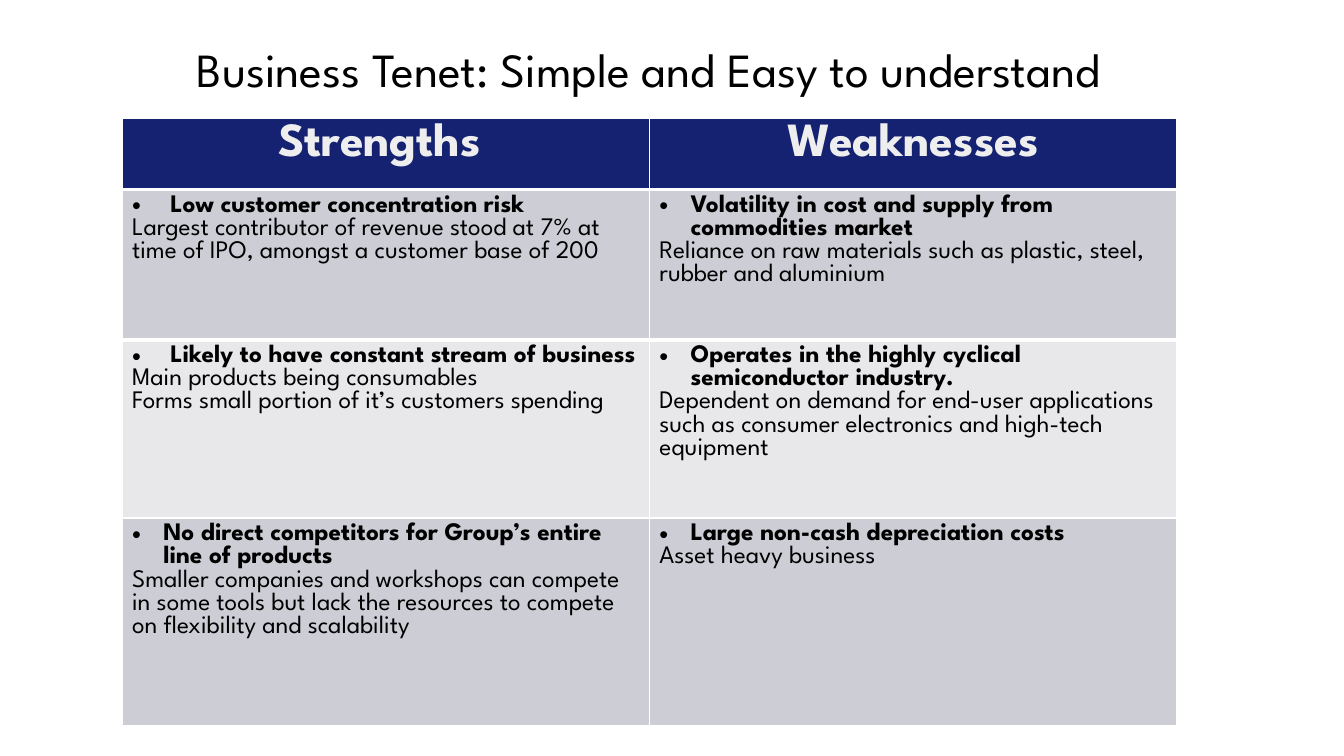
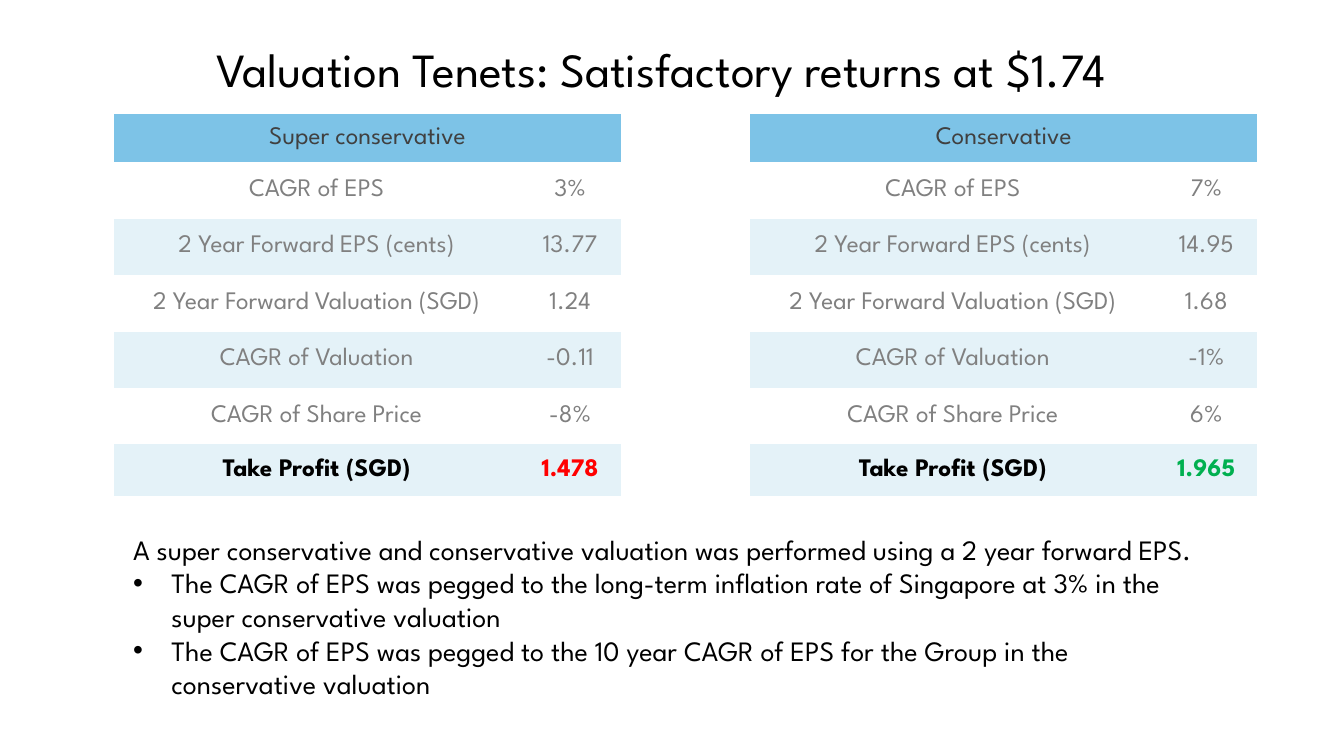
"""Build two slides on business strengths, weaknesses and valuation."""
import dataclasses

import lxml.etree
import pptx
import pptx.dml.color
import pptx.enum.text
import pptx.oxml.ns
import pptx.slide
import pptx.table
import pptx.text.text
import pptx.util

Inches = pptx.util.Inches
Pt = pptx.util.Pt
Color = pptx.dml.color.RGBColor
Align = pptx.enum.text.PP_ALIGN
Anchor = pptx.enum.text.MSO_ANCHOR
Para = pptx.text.text._Paragraph
qn = pptx.oxml.ns.qn

FONT = "League Spartan"
BLACK = Color(0x00, 0x00, 0x00)
WHITE = Color(0xFF, 0xFF, 0xFF)
NAVY = Color(0x15, 0x22, 0x71)
PALE = Color(0xEE, 0xEE, 0xEE)
BANDS = (Color(0xCC, 0xCD, 0xD5), Color(0xE8, 0xE8, 0xEB))
SKY = Color(0x7D, 0xC3, 0xE7)
ICE = Color(0xE4, 0xF2, 0xF8)
DARK = Color(0x40, 0x40, 0x40)
GREY = Color(0x80, 0x80, 0x80)
RED = Color(0xFF, 0x00, 0x00)
GREEN = Color(0x00, 0xB0, 0x50)
PLAIN = "{2D5ABB26-0587-4C30-8999-92F81FD0307C}"


@dataclasses.dataclass(frozen=True)
class Point:
    """A bold bullet with the lines that explain it."""

    head: str
    lines: tuple[str, ...]
    dent: float = 0.31


@dataclasses.dataclass(frozen=True)
class Case:
    """A valuation case and its figures."""

    name: str
    left: float
    vals: tuple[str, ...]
    tint: Color


HEADS = ("Strengths ", "Weaknesses")
POINTS = (
    (
        Point(
            "Low customer concentration risk",
            ("Largest contributor of revenue stood at 7% at time of IPO, "
             "amongst a customer base of 200",),
            0.38,
        ),
        Point(
            "Volatility in cost and supply from commodities market",
            ("Reliance on raw materials such as plastic, steel, rubber and aluminium",),
        ),
    ),
    (
        Point(
            "Likely to have constant stream of business",
            ("Main products being consumables",
             "Forms small portion of it’s customers spending"),
            0.38,
        ),
        Point(
            "Operates in the highly cyclical semiconductor industry.",
            ("Dependent on demand for end-user applications such as consumer "
             "electronics and high-tech equipment",),
        ),
    ),
    (
        Point(
            "No direct competitors for Group’s entire line of products",
            ("Smaller companies and workshops can compete in some tools but lack "
             "the resources to compete on flexibility and scalability",),
        ),
        Point("Large non-cash depreciation costs", ("Asset heavy business",)),
    ),
)
LABELS = (
    "CAGR of EPS",
    "2 Year Forward EPS (cents)",
    "2 Year Forward Valuation (SGD)",
    "CAGR of Valuation",
    "CAGR of Share Price",
    "Take Profit (SGD)",
)
CASES = (
    Case("Super conservative", 1.13,
         ("3%", "13.77", "1.24", "-0.11", "-8%", "1.478"), RED),
    Case("Conservative", 7.44,
         ("7%", "14.95", "1.68", "-1%", "6%", "1.965"), GREEN),
)
INTRO = "A super conservative and conservative valuation was performed using a 2 year forward EPS."
NOTES = (
    "The CAGR of EPS was pegged to the long-term inflation rate of Singapore "
    "at 3% in the super conservative valuation",
    "The CAGR of EPS was pegged to the 10 year CAGR of EPS for the Group "
    "in the conservative valuation",
)


def style(para: Para, text: str, size: float, color: Color = BLACK,
          bold: bool = False, align: Align = Align.LEFT) -> None:
    """Fill a paragraph and set its font."""
    para.text = text
    para.alignment = align
    font = para.font
    font.name, font.size, font.bold = FONT, Pt(size), bold
    font.color.rgb = color


def mark(para: Para, dent: float) -> None:
    """Give a paragraph a bullet, or none when there is no indent."""
    props = para._p.get_or_add_pPr()
    props.set("marL", str(Inches(dent)))
    props.set("indent", str(-Inches(dent)))
    if dent:
        lxml.etree.SubElement(props, qn("a:buFont"), typeface="Arial")
        lxml.etree.SubElement(props, qn("a:buChar"), char="•")
    else:
        lxml.etree.SubElement(props, qn("a:buNone"))


def grow(frame: pptx.text.text.TextFrame, count: int) -> tuple[Para, ...]:
    """Extend a text frame to the given number of paragraphs."""
    while len(frame.paragraphs) < count:
        frame.add_paragraph()
    return frame.paragraphs


def place(shape, left: float, top: float, width: float, height: float) -> None:
    """Move and size a placeholder with its text at the top."""
    shape.left, shape.top = Inches(left), Inches(top)
    shape.width, shape.height = Inches(width), Inches(height)
    frame = shape.text_frame
    frame.word_wrap = True
    frame.auto_size = pptx.enum.text.MSO_AUTO_SIZE.NONE
    frame.vertical_anchor = Anchor.TOP


def inset(box, gap: float) -> None:
    """Set all four margins of a cell or text frame."""
    box.margin_left = box.margin_right = Inches(gap)
    box.margin_top = box.margin_bottom = Inches(gap)


def start(deck, layout: int, text: str, width: float) -> pptx.slide.Slide:
    """Add a slide with its title."""
    slide = deck.slides.add_slide(deck.slide_layouts[layout])
    title = slide.shapes.title
    place(title, 0.56, 0.4, width, 0.57)
    inset(title.text_frame, 0)
    style(title.text_frame.paragraphs[0], text, 34, align=Align.CENTER)
    return slide


def grid(slide: pptx.slide.Slide, left: float, top: float,
         cols: tuple[float, ...], rows: tuple[float, ...]) -> pptx.table.Table:
    """Add a table with the given column widths and row heights."""
    table = slide.shapes.add_table(
        len(rows), len(cols), Inches(left), Inches(top),
        Inches(sum(cols)), Inches(sum(rows))).table
    for col, width in zip(table.columns, cols):
        col.width = Inches(width)
    for row, height in zip(table.rows, rows):
        row.height = Inches(height)
    return table


def paint(cell, color: Color) -> None:
    """Fill a cell with one colour."""
    cell.fill.solid()
    cell.fill.fore_color.rgb = color


def rule(cell, side: str) -> None:
    """Draw a thick white border on one side of a cell."""
    line = lxml.etree.Element(qn(side), w=str(Pt(3)))
    fill = lxml.etree.SubElement(line, qn("a:solidFill"))
    lxml.etree.SubElement(fill, qn("a:srgbClr"), val=str(WHITE))
    cell._tc.get_or_add_tcPr().insert(0, line)


def label(cell, text: str, fill: Color, color: Color,
          bold: bool = False, gap: float = 0) -> None:
    """Write a centred valuation cell."""
    paint(cell, fill)
    inset(cell, gap)
    cell.vertical_anchor = Anchor.MIDDLE
    style(cell.text_frame.paragraphs[0], text, 18, color, bold, Align.CENTER)


def explain(cell, point: Point) -> None:
    """Write a bold bullet and its lines in a cell."""
    first, *rest = grow(cell.text_frame, 1 + len(point.lines))
    mark(first, point.dent)
    style(first, point.head, 18, bold=True)
    for para, line in zip(rest, point.lines):
        style(para, line, 18)


def compare(deck) -> None:
    """Build the strengths and weaknesses slide."""
    slide = start(deck, 5, "Business Tenet: Simple and Easy to understand", 11.75)
    table = grid(slide, 1.21, 1.17, (5.23, 5.23), (0.71, 1.49, 1.77, 2.06))
    for col, head in enumerate(HEADS):
        cell = table.cell(0, col)
        paint(cell, NAVY)
        rule(cell, "a:lnB")
        rule(table.cell(1, col), "a:lnT")
        style(cell.text_frame.paragraphs[0], head, 34, PALE, True, Align.CENTER)
    for row, pair in enumerate(POINTS):
        for col, point in enumerate(pair):
            cell = table.cell(row + 1, col)
            paint(cell, BANDS[row % 2])
            explain(cell, point)


def assess(slide: pptx.slide.Slide, case: Case) -> None:
    """Add the table of one valuation case."""
    table = grid(slide, case.left, 1.13, (4.02, 1.01), (0.48, *[0.56] * 5, 0.51))
    table._tbl.tblPr.find(qn("a:tableStyleId")).text = PLAIN
    table.cell(0, 0).merge(table.cell(0, 1))
    label(table.cell(0, 0), case.name, SKY, DARK, gap=0.04)
    for row, (name, val) in enumerate(zip(LABELS, case.vals), 1):
        last = row == len(LABELS)
        fill = WHITE if row % 2 else ICE
        label(table.cell(row, 0), name, fill, BLACK if last else GREY, last)
        label(table.cell(row, 1), val, fill, case.tint if last else GREY, last)


def value(deck) -> None:
    """Build the valuation slide."""
    slide = start(deck, 1, "Valuation Tenets: Satisfactory returns at $1.74 ", 12.11)
    for case in CASES:
        assess(slide, case)
    body = slide.placeholders[1]
    place(body, 1.22, 5.23, 10.79, 1.9)
    texts = (INTRO, *NOTES)
    for num, para in enumerate(grow(body.text_frame, len(texts))):
        mark(para, 0.38 if num else 0)
        para.space_before = Pt(0)
        style(para, texts[num], 20)


def main() -> None:
    """Build and save the deck."""
    deck = pptx.Presentation()
    deck.slide_width, deck.slide_height = Inches(13.33), Inches(7.5)
    compare(deck)
    value(deck)
    deck.save("out.pptx")


if __name__ == "__main__":
    main()
